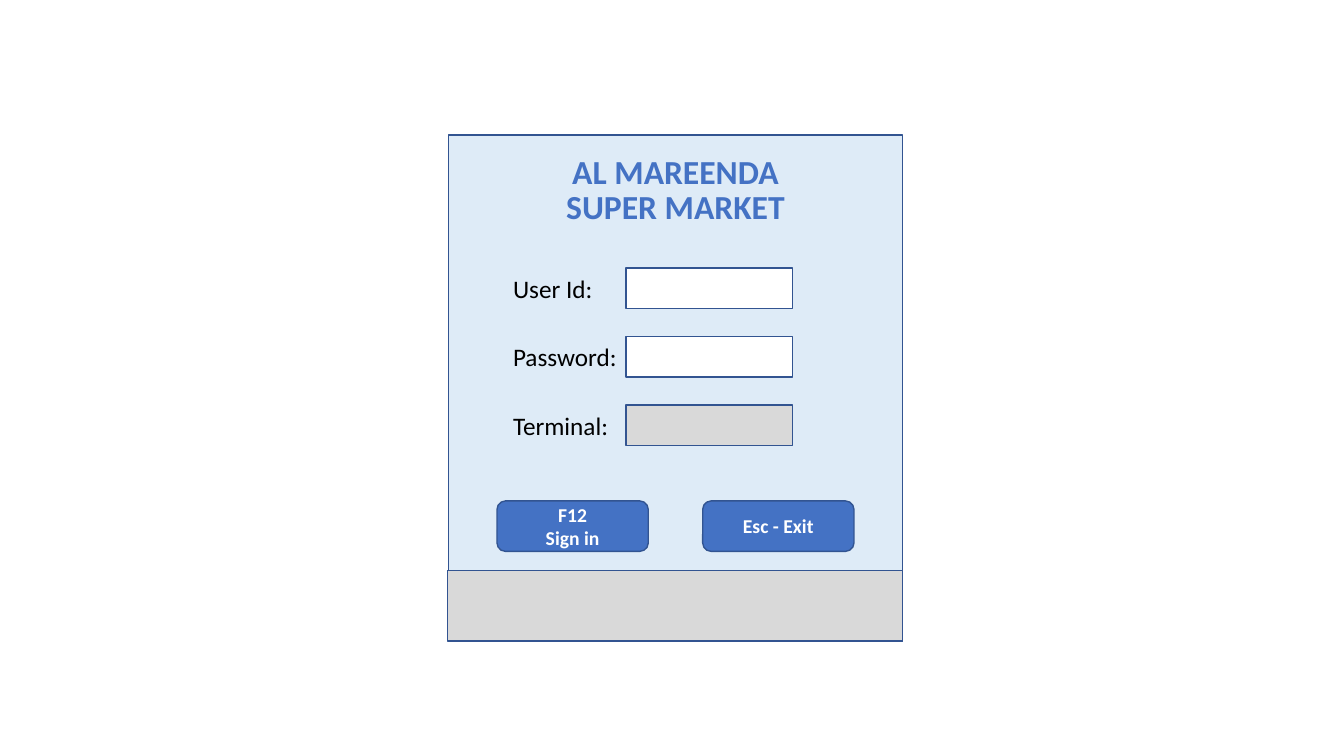
from dataclasses import dataclass
from pptx import Presentation
from pptx.dml.color import RGBColor as Rgb
from pptx.enum.shapes import MSO_SHAPE as Shape
from pptx.enum.text import MSO_ANCHOR as Anchor, MSO_AUTO_SIZE as Fit, PP_ALIGN as Align
from pptx.util import Pt

PX = 9144  # EMU in one px, at 100 px to the inch


@dataclass(frozen=True)
class Theme:
    font: str = "Calibri"
    panel: str = "DEEBF7"
    blue: str = "4472C4"
    edge: str = "325491"
    gray: str = "D9D9D9"
    white: str = "FFFFFF"
    black: str = "000000"
    title: int = 24
    lead: int = 25
    label: int = 18
    button: int = 14


class Form:
    def __init__(self, deck, theme):
        self.theme = theme
        self.slide = deck.slides.add_slide(deck.slide_layouts[6])

    def fill_text(self, frame, text, size, color, bold=False, align=None, lead=None):
        frame.text = text
        for para in frame.paragraphs:
            para.alignment = align
            if lead:
                para.line_spacing = Pt(lead)
            for run in para.runs:
                font = run.font
                font.name, font.size, font.bold = self.theme.font, Pt(size), bold
                font.color.rgb = Rgb.from_string(color)

    def box(self, x, y, w, h, fill, edge=True, kind=Shape.RECTANGLE):
        shape = self.slide.shapes.add_shape(kind, x * PX, y * PX, w * PX, h * PX)
        shape.shadow.inherit = False
        shape.fill.solid()
        shape.fill.fore_color.rgb = Rgb.from_string(fill)
        if edge:
            shape.line.color.rgb = Rgb.from_string(self.theme.edge)
            shape.line.width = Pt(1)
        else:
            shape.line.fill.background()
        shape.text_frame.vertical_anchor = Anchor.MIDDLE
        return shape

    def title(self, x, y, w, h, text):
        look = self.theme
        frame = self.box(x, y, w, h, look.panel, edge=False).text_frame
        self.fill_text(frame, text, look.title, look.blue, True, Align.CENTER, look.lead)

    def button(self, x, y, text):
        look = self.theme
        shape = self.box(x, y, 150, 50, look.blue, kind=Shape.ROUNDED_RECTANGLE)
        self.fill_text(shape.text_frame, text, look.button, look.white, True, Align.CENTER)

    def label(self, x, y, w, text):
        frame = self.slide.shapes.add_textbox(x * PX, y * PX, w * PX, 40 * PX).text_frame
        frame.word_wrap = False
        frame.auto_size = Fit.SHAPE_TO_FIT_TEXT
        self.fill_text(frame, text, self.theme.label, self.theme.black)

    def field(self, y, w, text, fill):
        self.label(499, y, w, text)
        self.box(621, y, 165, 40, fill)


def main():
    deck = Presentation()
    deck.slide_width, deck.slide_height = 1333 * PX, 750 * PX
    look = Theme()
    form = Form(deck, look)

    # Panel and heading
    form.box(445, 134, 450, 502, look.panel)
    form.title(543, 141, 254, 97, "AL MAREENDA\nSUPER MARKET")

    # Entry fields
    fields = [
        ("User Id:", 100, look.white),
        ("Password:", 124, look.white),
        ("Terminal:", 116, look.gray),
    ]
    for row, (text, w, fill) in enumerate(fields):
        form.field(266 + 68 * row, w, text, fill)

    # Buttons
    for x, text in ((493, "F12\nSign in"), (697, "Esc - Exit")):
        form.button(x, 497, text)

    # Status bar
    form.box(444, 566, 451, 70, look.gray)

    deck.save("out.pptx")


if __name__ == "__main__":
    main()
